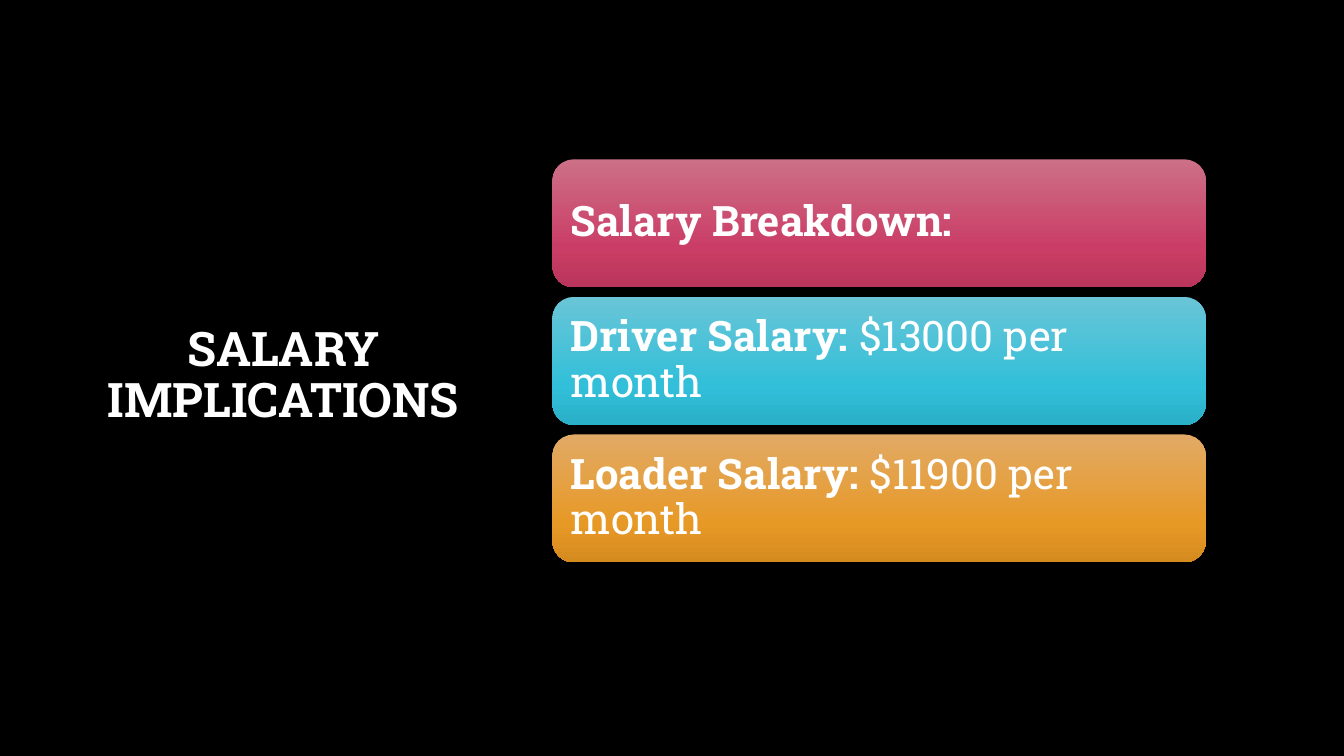
from copy import deepcopy

from pptx import Presentation
from pptx.dml.color import RGBColor
from pptx.enum.shapes import MSO_SHAPE as SHAPE
from pptx.enum.text import MSO_ANCHOR as ANCHOR, PP_ALIGN as ALIGN
from pptx.oxml.ns import qn
from pptx.util import Inches, Pt

FONT = "Roboto Slab"
STOPS = (0, 0.69, 1)
CARDS = [
    ("Salary Breakdown:", "", ("CC7087", "CA3D66", "BA355B")),
    ("Driver Salary:", " $13000 per month", ("6AC5D7", "32BFD9", "2AB0C8")),
    ("Loader Salary:", " $11900 per month", ("E2AA66", "E79926", "D68B1F")),
]


def rgb(value):
    return RGBColor.from_string(value)


class Deck:
    def __init__(self, width, height):
        self.prs = Presentation()
        self.prs.slide_width, self.prs.slide_height = Inches(width), Inches(height)
        self.s = self.prs.slides.add_slide(self.prs.slide_layouts[6])
        fill = self.s.background.fill
        fill.solid()
        fill.fore_color.rgb = rgb("000000")

    def place(self, left, top, width, height):
        w, h = self.prs.slide_width, self.prs.slide_height
        return [int(share * size / 100)
                for share, size in zip((left, top, width, height), (w, h, w, h))]

    def set_text(self, sp, bold, plain, size, align):
        tf = sp.text_frame
        tf.word_wrap = True
        tf.vertical_anchor = ANCHOR.MIDDLE
        p = tf.paragraphs[0]
        p.text = bold
        if plain:
            p.add_run().text = plain
        p.alignment = align
        p.line_spacing = 0.9
        for i, r in enumerate(p.runs):
            r.font.name, r.font.size = FONT, Pt(size)
            r.font.bold = i == 0
            r.font.color.rgb = rgb("FFFFFF")
        return tf

    def title(self, text, *box):
        sp = self.s.shapes.add_textbox(*self.place(*box))
        self.set_text(sp, text, "", 34, ALIGN.CENTER)

    def card(self, bold, plain, colors, *box):
        sp = self.s.shapes.add_shape(SHAPE.ROUNDED_RECTANGLE, *self.place(*box))
        sp.shadow.inherit = False
        sp.line.fill.background()
        sp.fill.gradient()
        sp.fill.gradient_angle = 270
        stops = next(sp._element.spPr.iter(qn("a:gsLst")))
        stops.append(deepcopy(stops[-1]))
        for stop, position, color in zip(sp.fill.gradient_stops, STOPS, colors):
            stop.position = position
            stop.color.rgb = rgb(color)
        tf = self.set_text(sp, bold, plain, 30, ALIGN.LEFT)
        tf.margin_left = tf.margin_right = Inches(0.12)
        tf.margin_top = tf.margin_bottom = Inches(0.12)


def main():
    deck = Deck(13.33, 7.5)
    deck.title("SALARY IMPLICATIONS", 6.15, 8.93, 29.86, 81.73)
    for row, (bold, plain, colors) in enumerate(CARDS):
        deck.card(bold, plain, colors, 41.11, 21.07 + 18.2 * row, 48.61, 16.93)
    deck.prs.save("out.pptx")


if __name__ == "__main__":
    main()
